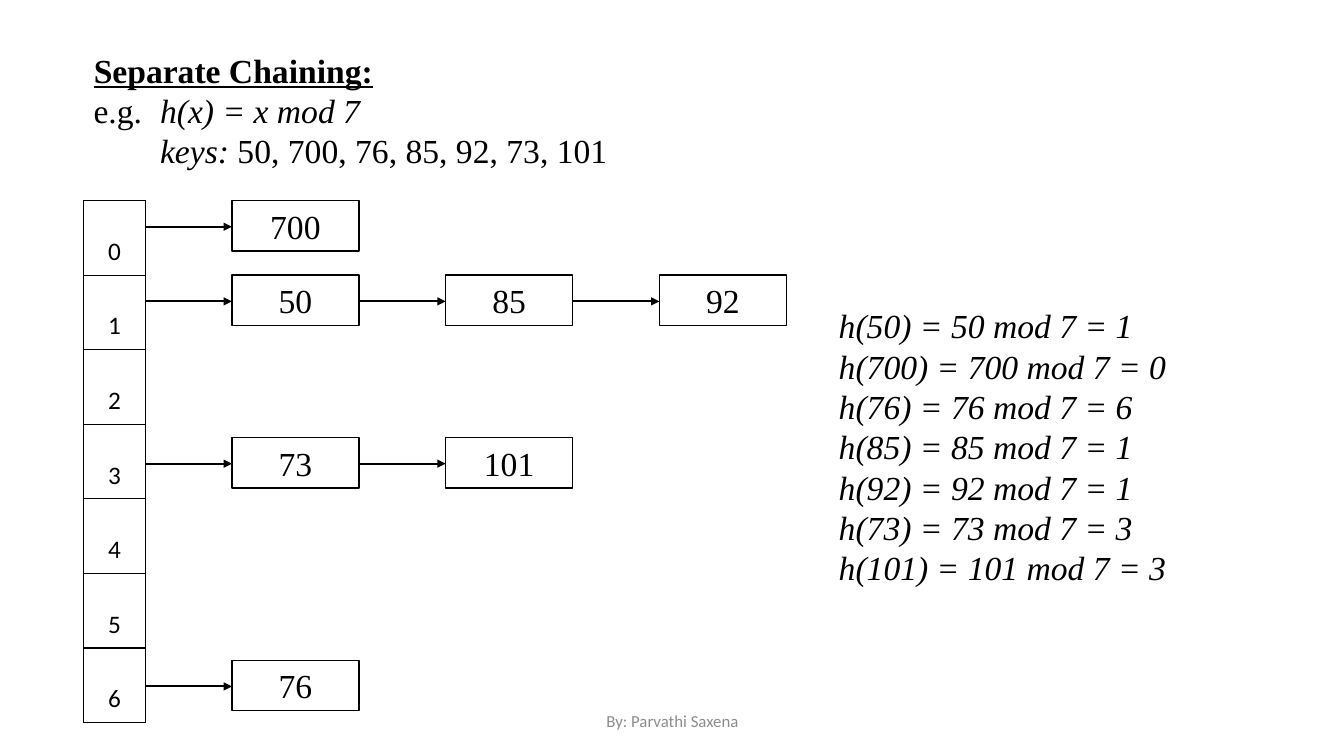
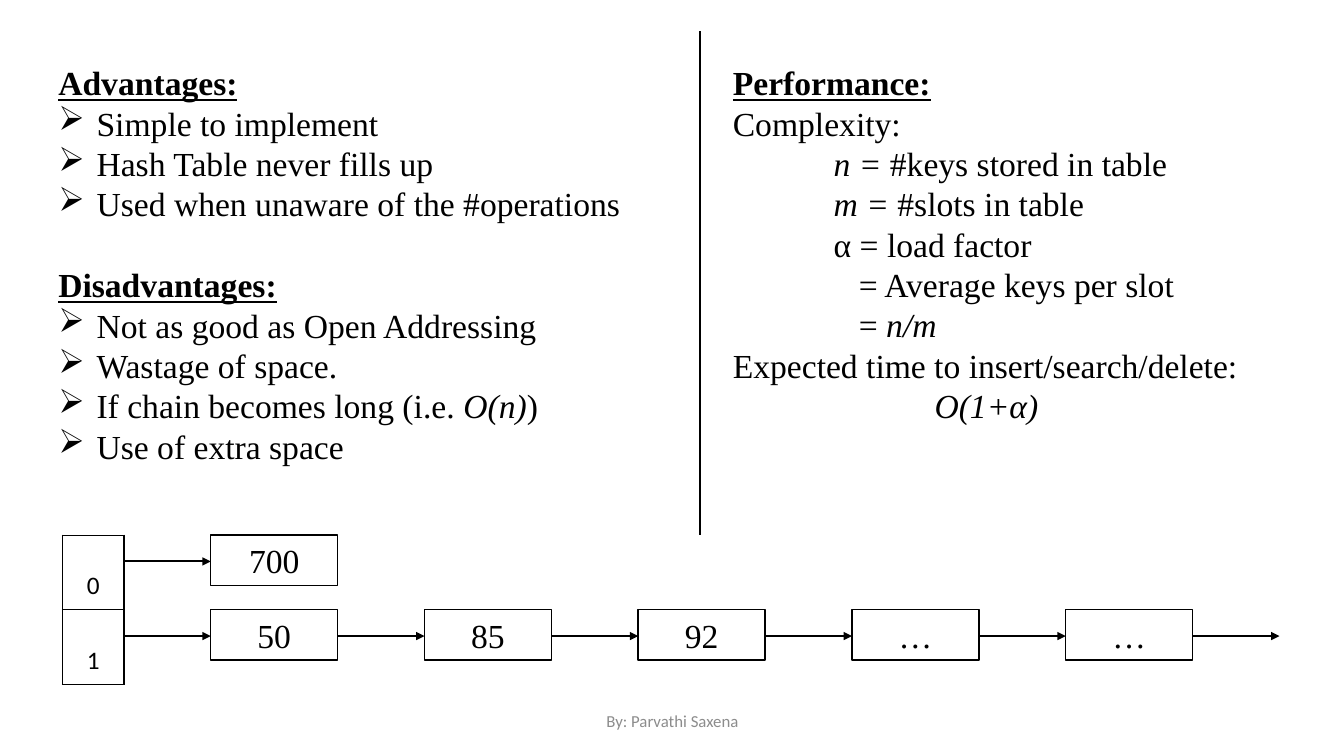
"""Build two slides on separate chaining in hash tables."""
from lxml import etree
from pptx import Presentation
from pptx.dml.color import RGBColor
from pptx.enum import shapes, text
from pptx.oxml.ns import qn
from pptx.util import Inches, Pt

BLACK = RGBColor(0, 0, 0)
WHITE = RGBColor(255, 255, 255)
GRAY = RGBColor(0x8C, 0x8C, 0x8C)
SERIF, SANS = "Times New Roman", "Calibri"
CENTER, LEFT = text.PP_ALIGN.CENTER, text.PP_ALIGN.LEFT
TOP, MIDDLE, BOTTOM = (text.MSO_ANCHOR.TOP, text.MSO_ANCHOR.MIDDLE,
                       text.MSO_ANCHOR.BOTTOM)
SLOT_W, ROW_H = 0.61, 0.74
NODE_W, NODE_H, GAP = 1.26, 0.5, 0.86
ARROW_Y = 0.26
HEAD = dict(bold=True, under=True)
POINT = dict(mark="➢", left=0.38, hang=0.38)


def write(frame, words, size=24, font=SERIF, color=BLACK, bold=False,
          under=False, align=LEFT, left=0, hang=0, mark=None, before=0):
    """Add one paragraph; words between asterisks are italic."""
    para = frame.paragraphs[0]
    if para.runs:
        para = frame.add_paragraph()
    para.alignment = align
    para.space_before = Pt(before)
    props = para._p.get_or_add_pPr()
    if left:
        props.set("marL", str(Inches(left)))
        props.set("indent", str(-Inches(hang)))
    if mark:
        etree.SubElement(props, qn("a:buChar")).set("char", mark)
    for num, part in enumerate(words.split("*")):
        if part:
            run = para.add_run()
            run.text = part
            face = run.font
            face.name, face.size = font, Pt(size)
            face.bold, face.underline = bold, under
            face.italic = num % 2 == 1
            face.color.rgb = color


def set_frame(shape, anchor=TOP):
    """Prepare and return the text frame of a shape."""
    frame = shape.text_frame
    frame.word_wrap = True
    frame.auto_size = text.MSO_AUTO_SIZE.NONE
    frame.vertical_anchor = anchor
    return frame


def add_text(slide, left, top, width, height, lines, anchor=TOP):
    """Add a text box from pairs of words and format."""
    box = slide.shapes.add_textbox(*map(Inches, (left, top, width, height)))
    frame = set_frame(box, anchor)
    for words, style in lines:
        write(frame, words, **style)


def add_title(slide, left, top, width, height, words):
    """Place and fill the title placeholder."""
    title = slide.shapes.title
    title.left, title.top = Inches(left), Inches(top)
    title.width, title.height = Inches(width), Inches(height)
    write(set_frame(title), words, **HEAD)


def add_line(slide, start, end, arrow=True):
    """Draw a straight line, with an arrowhead at its end if wanted."""
    line = slide.shapes.add_connector(
        shapes.MSO_CONNECTOR.STRAIGHT, *map(Inches, (*start, *end)))
    line.line.color.rgb = BLACK
    line.line.width = Pt(1.5)
    if arrow:
        etree.SubElement(line.line._get_or_add_ln(),
                         qn("a:tailEnd")).set("type", "triangle")
    etree.SubElement(line._element.spPr, qn("a:effectLst"))


def add_node(slide, left, top, key):
    """Draw one key of a chain."""
    node = slide.shapes.add_shape(
        shapes.MSO_SHAPE.RECTANGLE, *map(Inches, (left, top, NODE_W, NODE_H)))
    node.shadow.inherit = False
    node.fill.solid()
    node.fill.fore_color.rgb = WHITE
    node.line.color.rgb = BLACK
    node.line.width = Pt(1)
    write(set_frame(node), key, align=CENTER)


def add_chain(slide, left, top, keys, more=False):
    """Draw linked keys from the edge of a slot, with an open end if more."""
    mid = top + ARROW_Y
    for key in keys:
        add_line(slide, (left, mid), (left + GAP, mid))
        add_node(slide, left + GAP, top, key)
        left += GAP + NODE_W
    if more:
        add_line(slide, (left, mid), (left + GAP, mid))


def add_edges(cell):
    """Give a cell thin black borders."""
    props = cell._tc.get_or_add_tcPr()
    for side in ("lnL", "lnR", "lnT", "lnB"):
        edge = etree.SubElement(props, qn("a:" + side), w=str(Pt(1)))
        fill = etree.SubElement(edge, qn("a:solidFill"))
        etree.SubElement(fill, qn("a:srgbClr")).set("val", str(BLACK))


def add_slots(slide, left, top, count):
    """Draw the numbered slots of the hash table."""
    table = slide.shapes.add_table(
        count, 1, *map(Inches, (left, top, SLOT_W, count * ROW_H))).table
    table.first_row = table.horz_banding = False
    for num in range(count):
        cell = table.cell(num, 0)
        add_edges(cell)
        cell.fill.background()
        cell.vertical_anchor = BOTTOM
        cell.margin_bottom = Inches(0.08)
        write(cell.text_frame, str(num), size=18, font=SANS, align=CENTER)


def add_foot(slide):
    """Add the shared footer."""
    style = dict(size=12, font=SANS, color=GRAY, align=CENTER)
    add_text(slide, 4.42, 6.95, 4.5, 0.4,
             [("By: Parvathi Saxena", style)], MIDDLE)


def show_example(deck):
    """Build the slide with the worked example."""
    slide = deck.slides.add_slide(deck.slide_layouts[5])
    left, top = 0.83, 1.99
    add_title(slide, left, 0.44, 6.17, 0.5, "Separate Chaining:")
    add_text(slide, left, 0.84, 6.17, 0.91, [
        ("e.g.\t*h(x) = x mod 7*", dict(left=0.66, hang=0.66)),
        ("*keys:* 50, 700, 76, 85, 92, 73, 101", dict(left=0.66))])
    add_slots(slide, left, top, 7)
    for node_top, keys in ((top, ["700"]), (top + ROW_H, ["50", "85", "92"]),
                           (4.34, ["73", "101"]), (6.55, ["76"])):
        add_chain(slide, left + SLOT_W, node_top, keys)
    add_text(slide, 8.22, 2.98, 4.69, 2.93, [
        (f"*h({key}) = {key} mod 7 = {key % 7}*", {})
        for key in (50, 700, 76, 85, 92, 73, 101)])
    add_foot(slide)


def show_review(deck):
    """Build the slide with the pros, cons and performance."""
    slide = deck.slides.add_slide(deck.slide_layouts[6])
    add_text(slide, 0.48, 0.57, 6.4, 4.14, [
        ("Advantages:", HEAD),
        ("Simple to implement", POINT),
        ("Hash Table never fills up", POINT),
        ("Used when unaware of the #operations", POINT),
        ("Disadvantages:", dict(HEAD, before=29)),
        ("Not as good as Open Addressing", POINT),
        ("Wastage of space.", POINT),
        ("If chain becomes long (i.e. *O(n)*)", POINT),
        ("Use of extra space", POINT)])
    left, top = 0.62, 5.31
    add_slots(slide, left, top, 2)
    add_chain(slide, left + SLOT_W, top, ["700"])
    add_chain(slide, left + SLOT_W, top + ROW_H,
              ["50", "85", "92", "…", "…"], more=True)
    add_line(slide, (6.94, 0.31), (6.94, top), arrow=False)
    term, value = dict(left=1), dict(left=1.25)
    add_text(slide, 7.17, 0.57, 5.89, 3.74, [
        ("Performance:", HEAD),
        ("Complexity:", {}),
        ("*n =* #keys stored in table", term),
        ("*m =* #slots in table", term),
        ("α = load factor", term),
        ("= Average keys per slot", value),
        ("= *n/m*", value),
        ("Expected time to insert/search/delete:", {}),
        ("*O(1+α)*", dict(left=2))])
    add_foot(slide)


def main():
    """Build and save the deck."""
    deck = Presentation()
    deck.slide_width, deck.slide_height = Inches(13.33), Inches(7.5)
    show_example(deck)
    show_review(deck)
    deck.save("out.pptx")


if __name__ == "__main__":
    main()
